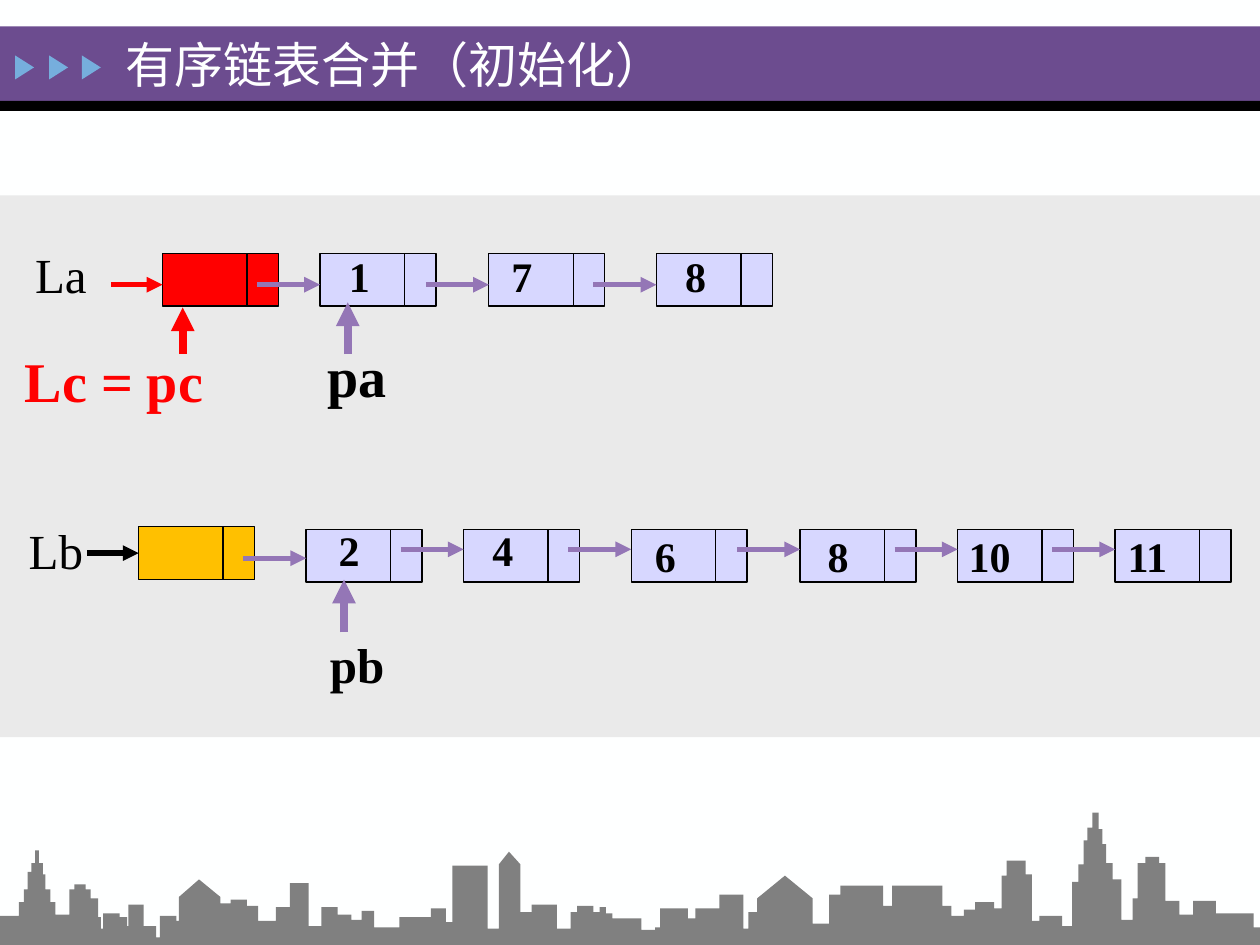
from dataclasses import dataclass

from lxml import etree
from pptx import Presentation
from pptx.dml.color import RGBColor
from pptx.enum import shapes, text
from pptx.oxml import ns
from pptx.util import Inches, Pt

FONT = "Times New Roman"
COLORS = {
    "background": "FEFFFF", "banner": "6C4C8F", "black": "000000",
    "marker": "76AEDD", "panel": "EAEAEA", "arrow": "9476B6",
    "red": "FF0000", "node": "D7D7FF", "gold": "FFC000", "skyline": "808080",
}
DATA_WIDTH, LINK_WIDTH, NODE_HEIGHT = 0.67, 0.25, 0.42
LINK_LENGTH = 0.5


@dataclass
class Node:
    left: float
    top: float
    color: str = "node"
    value: str = ""
    value_left: float = 0
    value_top: float = 0
    value_width: float = 0.37
    link_y: float | None = None


@dataclass
class Label:
    content: str
    left: float
    top: float
    width: float
    height: float
    size: int = 28
    bold: bool = False
    color: str = "black"
    wrap: bool = False
    grow: bool = True
    middle: bool = False
    centered: bool = False


@dataclass
class Arrow:
    start: tuple[float, float]
    end: tuple[float, float]
    color: str = "arrow"
    weight: float = 3


LIST_A = [
    Node(1.29, 2.01, "red"),
    Node(2.54, 2.01, value="1", value_left=2.67, value_top=1.94, link_y=2.26),
    Node(3.88, 2.01, value="7", value_left=3.96, value_top=1.94, link_y=2.26),
    Node(5.21, 2.01, value="8", value_left=5.34, value_top=1.94, link_y=2.26),
]
LIST_B = [
    Node(1.1, 4.18, "gold"),
    Node(2.43, 4.2, value="2", value_left=2.59, value_top=4.11, link_y=4.43),
    Node(3.68, 4.2, value="4", value_left=3.81, value_top=4.11, link_y=4.36),
    Node(5.01, 4.2, value="6", value_left=5.1, value_top=4.16, link_y=4.36),
    Node(6.35, 4.2, value="8", value_left=6.47, value_top=4.16, link_y=4.36),
    Node(7.6, 4.2, value="10", value_left=7.59, value_top=4.16, value_width=0.54, link_y=4.36),
    Node(8.85, 4.2, value="11", value_left=8.85, value_top=4.16, value_width=0.52, link_y=4.36),
]
LABELS = [
    Label("有序链表合并（初始化）", 0.9, 0.22, 7.4, 0.57, color="background",
          wrap=True, grow=False, middle=True),
    Label("La", 0.18, 1.89, 0.61, 0.57),
    Label("Lb", 0.13, 4.08, 0.64, 0.57),
    Label("pa", 2.5, 2.66, 0.68, 0.64, size=32, bold=True),
    Label("pb", 2.52, 4.99, 0.64, 0.57, bold=True),
    Label("Lc = pc", -0.07, 2.7, 1.95, 0.63, size=32, bold=True, color="red",
          wrap=True, middle=True, centered=True),
]
ARROWS = [
    Arrow((0.88, 2.26), (1.29, 2.26), "red"),
    Arrow((2.76, 2.81), (2.76, 2.4), weight=4.5),
    Arrow((2.73, 5.02), (2.73, 4.6), weight=4.5),
    Arrow((1.45, 2.81), (1.45, 2.44), "red", 4.5),
]
SKYLINE_BOTTOM = 7.52
SKYLINE_STEPS = [
    (0, 7.27), (0.15, 7.16), (0.19, 7.06), (0.22, 6.92), (0.25, 6.85), (0.28, 6.75),
    (0.31, 6.85), (0.34, 6.94), (0.36, 7.06), (0.4, 7.16), (0.44, 7.26), (0.55, 7.06),
    (0.59, 7.02), (0.68, 7.06), (0.72, 7.13), (0.78, 7.28), (0.8, 7.37), (0.82, 7.25),
    (0.95, 7.28), (1.01, 7.35), (1.02, 7.18), (1.14, 7.35), (1.24, 7.44), (1.27, 7.27),
    (1.4, 7.31), (1.42, 7.12), (1.75, 7.17), (1.83, 7.14), (1.96, 7.19), (2.05, 7.31),
    (2.19, 7.2), (2.3, 7.01), (2.45, 7.35), (2.55, 7.2), (2.68, 7.26), (2.79, 7.3),
    (2.87, 7.23), (2.97, 7.36), (3.17, 7.28), (3.42, 7.21), (3.54, 7.32), (3.59, 6.87),
    (3.87, 7.37), (3.96, 6.86), (4.13, 7.24), (4.22, 7.18), (4.42, 7.37), (4.53, 7.24),
    (4.58, 7.19), (4.71, 7.24), (4.76, 7.2), (4.81, 7.25), (4.86, 7.29), (5.09, 7.38),
    (5.2, 7.36), (5.24, 7.21), (5.46, 7.29), (5.52, 7.21), (5.71, 7.1), (5.9, 7.37),
    (5.94, 7.24), (6.01, 7.13), (6.45, 7.33), (6.58, 7.1), (6.67, 7.03), (7.01, 7.19),
    (7.08, 7.03), (7.48, 7.19), (7.55, 7.27), (7.65, 7.22), (7.74, 7.16), (7.89, 7.21),
    (7.95, 6.95), (7.99, 6.83), (8.14, 6.94), (8.19, 7.31), (8.25, 7.27), (8.43, 7.35),
    (8.51, 7), (8.56, 6.86), (8.6, 6.67), (8.63, 6.57), (8.67, 6.45), (8.72, 6.58),
    (8.75, 6.7), (8.78, 6.85), (8.83, 6.98), (8.9, 7.3), (8.99, 7.13), (9.03, 6.85),
    (9.09, 6.8), (9.2, 6.85), (9.25, 7.15), (9.36, 7.26), (9.47, 7.15), (9.65, 7.25),
    (9.95, 7.36), (10, SKYLINE_BOTTOM),
]
ROOF_TOPS = {1.42: (1.58, 6.98), 3.96: (4.04, 6.76), 6.01: (6.23, 6.95)}


def rgb(color: str) -> RGBColor:
    return RGBColor.from_string(COLORS[color])


def paint(shape, color: str, outline: bool = False) -> None:
    shape.shadow.inherit = False
    shape.fill.solid()
    shape.fill.fore_color.rgb = rgb(color)
    if outline:
        shape.line.color.rgb = rgb("black")
        shape.line.width = Pt(0.75)
    else:
        shape.line.fill.background()


def add_block(slide, left: float, top: float, width: float, height: float, color: str,
              kind=shapes.MSO_SHAPE.RECTANGLE, outline: bool = False):
    shape = slide.shapes.add_shape(kind, Inches(left), Inches(top), Inches(width), Inches(height))
    paint(shape, color, outline)
    return shape


def add_label(slide, label: Label) -> None:
    box = slide.shapes.add_textbox(Inches(label.left), Inches(label.top),
                                   Inches(label.width), Inches(label.height))
    frame = box.text_frame
    frame.word_wrap = label.wrap
    frame.auto_size = (text.MSO_AUTO_SIZE.SHAPE_TO_FIT_TEXT if label.grow
                       else text.MSO_AUTO_SIZE.NONE)
    frame.vertical_anchor = text.MSO_ANCHOR.MIDDLE if label.middle else text.MSO_ANCHOR.TOP
    paragraph = frame.paragraphs[0]
    paragraph.alignment = text.PP_ALIGN.CENTER if label.centered else text.PP_ALIGN.LEFT
    run = paragraph.add_run()
    run.text = label.content
    run.font.name = FONT
    run.font.size = Pt(label.size)
    run.font.bold = label.bold
    run.font.color.rgb = rgb(label.color)


def add_arrow(slide, arrow: Arrow):
    connector = slide.shapes.add_connector(shapes.MSO_CONNECTOR.STRAIGHT,
                                           *map(Inches, arrow.start + arrow.end))
    connector.line.color.rgb = rgb(arrow.color)
    connector.line.width = Pt(arrow.weight)
    etree.SubElement(connector.line._get_or_add_ln(), ns.qn("a:tailEnd"), type="triangle")
    etree.SubElement(connector._element.spPr, ns.qn("a:effectLst"))
    return connector


def add_list(slide, nodes: list[Node]) -> list:
    cells = []
    for node in nodes:
        cells.append(add_block(slide, node.left, node.top, DATA_WIDTH, NODE_HEIGHT,
                               node.color, outline=True))
        add_block(slide, node.left + DATA_WIDTH, node.top, LINK_WIDTH, NODE_HEIGHT,
                  node.color, outline=True)
    for node in nodes[1:]:
        add_arrow(slide, Arrow((node.left - LINK_LENGTH, node.link_y), (node.left, node.link_y)))
        add_label(slide, Label(node.value, node.value_left, node.value_top,
                               node.value_width, 0.51, size=24, bold=True))
    return cells


def add_skyline(slide) -> None:
    points, level = [], SKYLINE_BOTTOM
    for x, y in SKYLINE_STEPS:
        points += [(x, level), (x, y)]
        if x in ROOF_TOPS:
            points.append(ROOF_TOPS[x])
        level = y
    outline = [(Inches(x), Inches(y)) for x, y in points]
    builder = slide.shapes.build_freeform(*outline[0])
    builder.add_line_segments(outline[1:], close=True)
    paint(builder.convert_to_shape(), "skyline")


def main() -> None:
    presentation = Presentation()
    presentation.slide_width, presentation.slide_height = Inches(10), Inches(7.5)
    slide = presentation.slides.add_slide(presentation.slide_layouts[6])
    slide.background.fill.solid()
    slide.background.fill.fore_color.rgb = rgb("background")
    add_block(slide, 0, 0.21, 10, 0.59, "banner")
    add_block(slide, 0, 0.8, 10, 0.08, "black")
    for left in (0.1, 0.37, 0.63):
        marker = add_block(slide, left, 0.46, 0.19, 0.15, "marker",
                           shapes.MSO_SHAPE.ISOSCELES_TRIANGLE)
        marker.rotation = 90
    add_block(slide, 0, 1.55, 10, 4.3, "panel")
    add_list(slide, LIST_A)
    head_b = add_list(slide, LIST_B)[0]
    for arrow in ARROWS:
        add_arrow(slide, arrow)
    add_arrow(slide, Arrow((0.69, 4.39), (1.1, 4.39), "black")).end_connect(head_b, 1)
    for label in LABELS:
        add_label(slide, label)
    add_skyline(slide)
    presentation.save("out.pptx")


if __name__ == "__main__":
    main()
